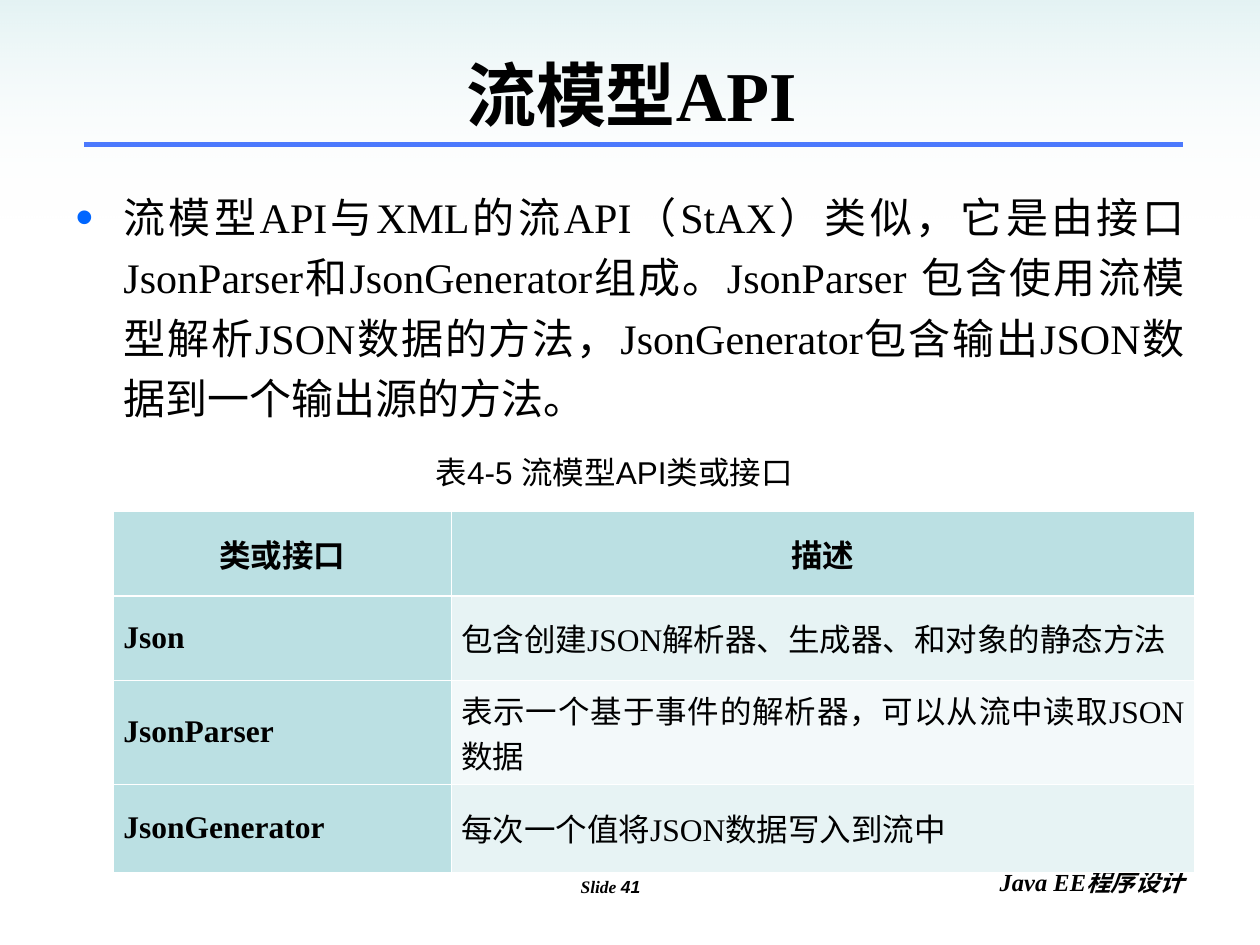
"""Build a slide on the streaming-model API with a bullet, a captioned table and footers."""
import pptx
import pptx.util
import pptx.dml.color
import pptx.enum.shapes
import pptx.enum.text
import pptx.oxml
import pptx.oxml.ns
import lxml.etree

Pt = pptx.util.Pt
RGBColor = pptx.dml.color.RGBColor
ALIGN = pptx.enum.text.PP_ALIGN
MIDDLE = pptx.enum.text.MSO_ANCHOR.MIDDLE
qn = pptx.oxml.ns.qn
BLACK = RGBColor(0x00, 0x00, 0x00)
WHITE = RGBColor(0xFF, 0xFF, 0xFF)
RULE_BLUE = RGBColor(0x33, 0x66, 0xFF)
BULLET_BLUE = RGBColor(0x00, 0x66, 0xFF)
TEAL = RGBColor(0xBB, 0xE0, 0xE3)
PALE_TEAL = RGBColor(0xE7, 0xF3, 0xF4)
PALEST_TEAL = RGBColor(0xF3, 0xF9, 0xFA)
SERIF, SANS = "Times New Roman", "Arial"

deck = pptx.Presentation()
deck.slide_width, deck.slide_height = pptx.util.Inches(10), pptx.util.Inches(7.5)
slide = deck.slides.add_slide(deck.slide_layouts[1])
shapes = slide.shapes
title, body = slide.placeholders


def share(left, top, width, height):
    """Turn percentages of the slide's size into a box."""
    across, down = deck.slide_width / 100, deck.slide_height / 100
    return [pptx.util.Emu(round(length)) for length in
            (left * across, top * down, width * across, height * down)]


def write(paragraph, text, size, align, font=SERIF, bold=False, italic=False):
    """Add one formatted run to a paragraph."""
    paragraph.alignment = align
    run = paragraph.add_run()
    run.text = text
    run.font.name, run.font.size = font, Pt(size)
    run.font.bold, run.font.italic = bold, italic
    run.font.color.rgb = BLACK


footers = [
    (share(36.8, 92, 23.3, 6.93), ALIGN.CENTER, 10, [("Slide ", SERIF), ("41", SANS)]),
    (share(71.7, 91.07, 23.3, 6.93), ALIGN.RIGHT, 14, [("Java EE程序设计", SERIF)]),
]
for box, align, size, pieces in footers:
    footer = shapes.add_textbox(*box).text_frame
    footer.word_wrap = True
    for text, font in pieces:
        write(footer.paragraphs[0], text, size, align, font, bold=True, italic=True)

left, top, width, _ = share(6.7, 15.33, 87.2, 0)
title_rule = shapes.add_connector(
    pptx.enum.shapes.MSO_CONNECTOR.STRAIGHT, left, top, left + width, top)
title_rule.line.color.rgb = RULE_BLUE
title_rule.line.width = Pt(3)
lxml.etree.SubElement(title_rule.element.spPr, qn("a:effectLst"))

header_fade = shapes.add_shape(
    pptx.enum.shapes.MSO_SHAPE.RECTANGLE, *share(0, 0, 100, 23.33))
header_fade.shadow.inherit = False
header_fade.line.fill.background()
header_fade.fill.gradient()
header_fade.fill.gradient_angle = 270
for stop, color in zip(header_fade.fill.gradient_stops, (TEAL, WHITE)):
    stop.color.rgb = color
for color, opacity in zip(header_fade.element.xpath(".//a:gs/a:srgbClr"), (40000, 0)):
    lxml.etree.SubElement(color, qn("a:alpha"), val=str(opacity))

for holder, box in ((title, share(5.1, 3.73, 90, 12.4)), (body, share(5, 18.53, 90, 70.8))):
    shapes.element.append(holder.element)
    holder.left, holder.top, holder.width, holder.height = box
    holder.text_frame.word_wrap = True
    holder.text_frame.auto_size = pptx.enum.text.MSO_AUTO_SIZE.NONE

title.text_frame.vertical_anchor = MIDDLE
write(title.text_frame.paragraphs[0], "流模型API", 40, ALIGN.CENTER, bold=True)

summary = body.text_frame.paragraphs[0]
summary.line_spacing = 1.2
summary.space_before = Pt(0)
indent = pptx.util.Inches(0.38)
bullet = summary._p.get_or_add_pPr()
bullet.set("marL", str(indent))
bullet.set("indent", str(-indent))
bullet_color = lxml.etree.SubElement(bullet, qn("a:buClr"))
lxml.etree.SubElement(bullet_color, qn("a:srgbClr"), val=str(BULLET_BLUE))
lxml.etree.SubElement(bullet, qn("a:buSzPct"), val="120000")
lxml.etree.SubElement(bullet, qn("a:buFont"), typeface=SANS)
lxml.etree.SubElement(bullet, qn("a:buChar"), char="•")
write(summary,
      "流模型API与XML的流API（StAX）类似，它是由接口JsonParser和JsonGenerator组成。"
      "JsonParser 包含使用流模型解析JSON数据的方法，"
      "JsonGenerator包含输出JSON数据到一个输出源的方法。", 24, ALIGN.JUSTIFY)

api_rows = [
    ("类或接口", "描述"),
    ("Json", "包含创建JSON解析器、生成器、和对象的静态方法"),
    ("JsonParser", "表示一个基于事件的解析器，可以从流中读取JSON数据"),
    ("JsonGenerator", "每次一个值将JSON数据写入到流中"),
]
description_fills = [TEAL, PALE_TEAL, PALEST_TEAL, PALE_TEAL]
api_table = shapes.add_table(4, 2, *share(9, 54.13, 85.8, 35.86)).table
for column, percent in zip(api_table.columns, (26.8, 59)):
    column.width = share(0, 0, percent, 0)[2]
for row, percent in zip(api_table.rows, (8.93, 8.93, 8.67, 9.33)):
    row.height = share(0, 0, 0, percent)[3]

for r, texts in enumerate(api_rows):
    for c, text in enumerate(texts):
        cell = api_table.cell(r, c)
        cell.vertical_anchor = MIDDLE
        cell.margin_left = cell.margin_right = pptx.util.Inches(0.08)
        cell.margin_top = cell.margin_bottom = pptx.util.Inches(0.05)
        write(cell.text_frame.paragraphs[0], text, 18,
              ALIGN.CENTER if r == 0 else ALIGN.JUSTIFY, bold=r == 0 or c == 0)
        borders = cell._tc.get_or_add_tcPr()
        for side in ("lnL", "lnR", "lnT", "lnB"):
            under_header = (r, side) in ((0, "lnB"), (1, "lnT"))
            border = lxml.etree.SubElement(
                borders, qn("a:" + side), w=str(Pt(1.47 if under_header else 0.45)))
            border_fill = lxml.etree.SubElement(border, qn("a:solidFill"))
            lxml.etree.SubElement(border_fill, qn("a:srgbClr"), val=str(WHITE))
        cell.fill.solid()
        cell.fill.fore_color.rgb = TEAL if c == 0 else description_fills[r]

caption = shapes.add_textbox(*share(33.6, 47.33, 32.7, 5.33)).text_frame
caption.word_wrap = False
caption.auto_size = pptx.enum.text.MSO_AUTO_SIZE.SHAPE_TO_FIT_TEXT
write(caption.paragraphs[0], "表4-5 流模型API类或接口", 18, ALIGN.LEFT, SANS)

deck.save("out.pptx")
